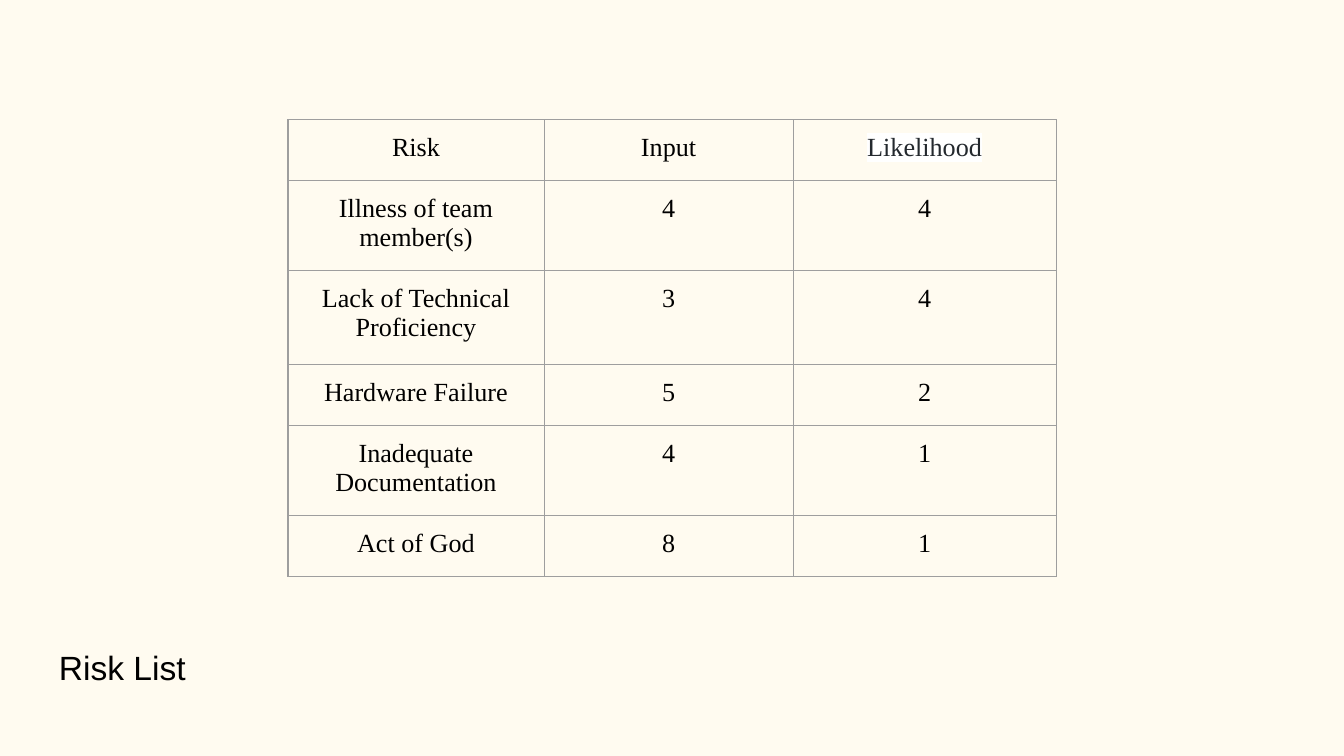
from lxml import etree
from pptx import Presentation
from pptx.dml.color import RGBColor
from pptx.enum import text
from pptx.oxml import ns
from pptx.util import Pt

CREAM = RGBColor(0xFF, 0xFB, 0xF0)
BLACK = RGBColor(0, 0, 0)
SLATE = RGBColor(0x24, 0x29, 0x2E)
WHITE = RGBColor(0xFF, 0xFF, 0xFF)
GREY = RGBColor(0x9E, 0x9E, 0x9E)

TITLE = "Risk List"
RISKS = [
    ("Risk", "Input", "Likelihood"),
    ("Illness of team member(s)", "4", "4"),
    ("Lack of Technical Proficiency", "3", "4"),
    ("Hardware Failure", "5", "2"),
    ("Inadequate Documentation", "4", "1"),
    ("Act of God", "8", "1"),
]
HIGHLIGHTED = "Likelihood"
COLUMN_WIDTHS = (137.2, 133.4, 141)
ROW_HEIGHTS = (32.8, 45.2, 50.4, 32.8, 45.2, 32.8)
TABLE_LEFT, TABLE_TOP = 154.3, 64.1
INSETS = {f"margin_{side}": Pt(7.2) for side in ("left", "top", "right", "bottom")}


def apply(target, values):
    """Set every attribute named in a dict of format values."""
    for name, value in values.items():
        setattr(target, name, value)


def add_color(parent, color):
    """Append a solid colour element to an XML parent."""
    etree.SubElement(parent, ns.qn("a:srgbClr"), val=str(color))


def write(frame, words, name, size, color=BLACK, align=text.PP_ALIGN.LEFT):
    """Put one formatted paragraph in a text frame and return its run."""
    para = frame.paragraphs[0]
    para.alignment = align
    span = para.add_run()
    span.text = words
    apply(span.font, {"name": name, "size": Pt(size), "bold": False})
    span.font.color.rgb = color
    return span


def highlight(span, color):
    """Give a run a background colour."""
    mark = etree.Element(ns.qn("a:highlight"))
    add_color(mark, color)
    span.font._element.find(ns.qn("a:solidFill")).addnext(mark)


def outline(cell):
    """Draw a thin grey border on all four sides of a cell."""
    properties = cell._tc.get_or_add_tcPr()
    for place, side in enumerate(("lnL", "lnR", "lnT", "lnB")):
        line = etree.Element(ns.qn(f"a:{side}"), w=str(Pt(0.75)))
        add_color(etree.SubElement(line, ns.qn("a:solidFill")), color=GREY)
        properties.insert(place, line)


def add_risk_table(page):
    """Build the table of risks."""
    frame = page.shapes.add_table(
        len(RISKS), len(COLUMN_WIDTHS), Pt(TABLE_LEFT), Pt(TABLE_TOP),
        Pt(sum(COLUMN_WIDTHS)), Pt(sum(ROW_HEIGHTS)))
    table = frame.table
    apply(table, {"first_row": False, "horz_banding": False})
    for column, width in zip(table.columns, COLUMN_WIDTHS):
        column.width = Pt(width)
    for row, height, entries in zip(table.rows, ROW_HEIGHTS, RISKS):
        row.height = Pt(height)
        for cell, words in zip(row.cells, entries):
            apply(cell, INSETS)
            cell.vertical_anchor = text.MSO_ANCHOR.TOP
            cell.fill.background()
            outline(cell)
            marked = words == HIGHLIGHTED
            span = write(cell.text_frame, words, "Times New Roman", 14,
                         SLATE if marked else BLACK, text.PP_ALIGN.CENTER)
            if marked:
                highlight(span, WHITE)


def add_title(page):
    """Write the slide title at the bottom left."""
    box = page.shapes.add_textbox(Pt(24.5), Pt(333.4), Pt(472.3), Pt(47.5))
    apply(box.text_frame, {**INSETS, "word_wrap": True,
                           "vertical_anchor": text.MSO_ANCHOR.MIDDLE})
    write(box.text_frame, TITLE, "Arial", 18)


deck = Presentation()
apply(deck, {"slide_width": Pt(720), "slide_height": Pt(405)})
page = deck.slides.add_slide(deck.slide_layouts[6])
page.background.fill.solid()
page.background.fill.fore_color.rgb = CREAM
add_title(page)
add_risk_table(page)
deck.save("out.pptx")
